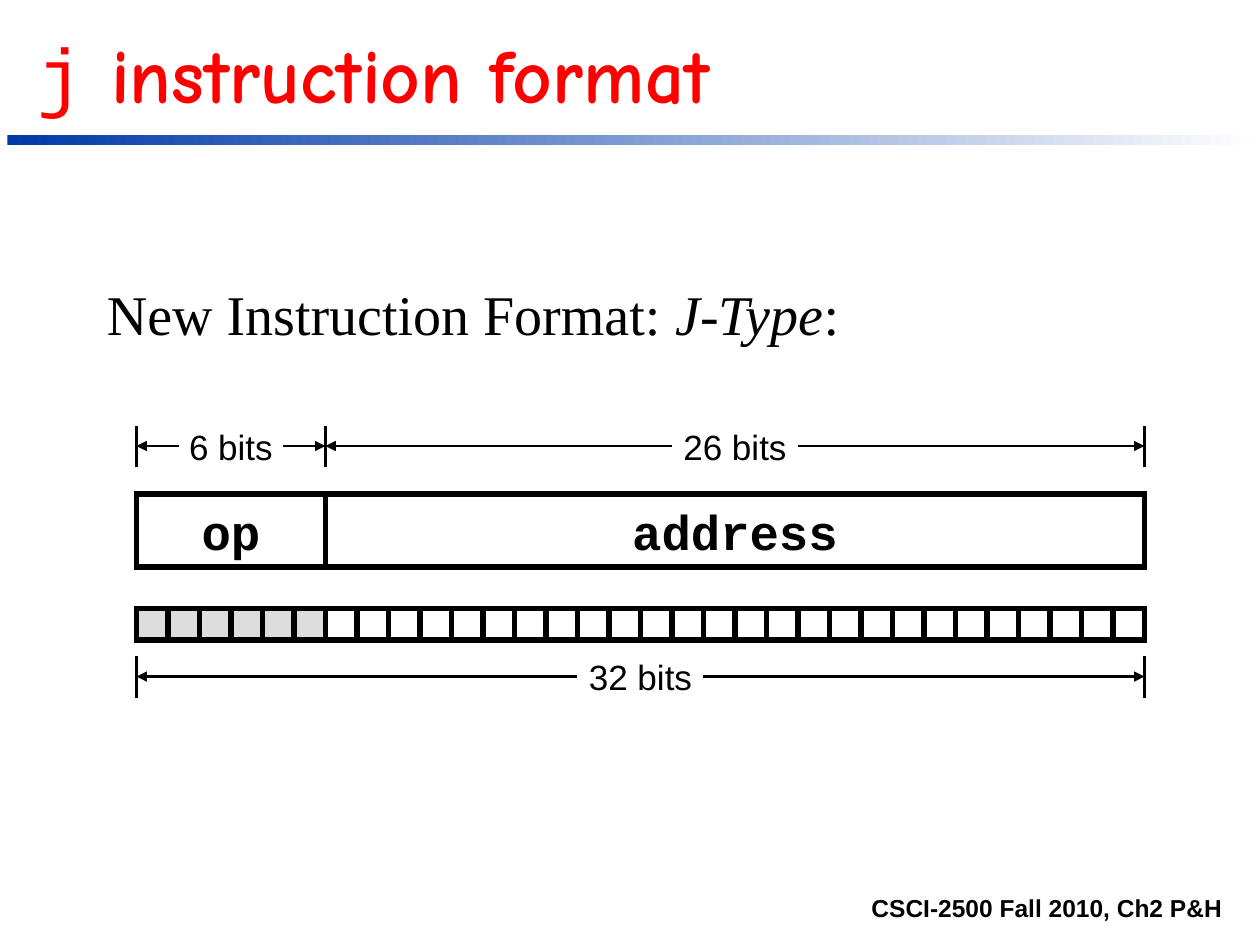
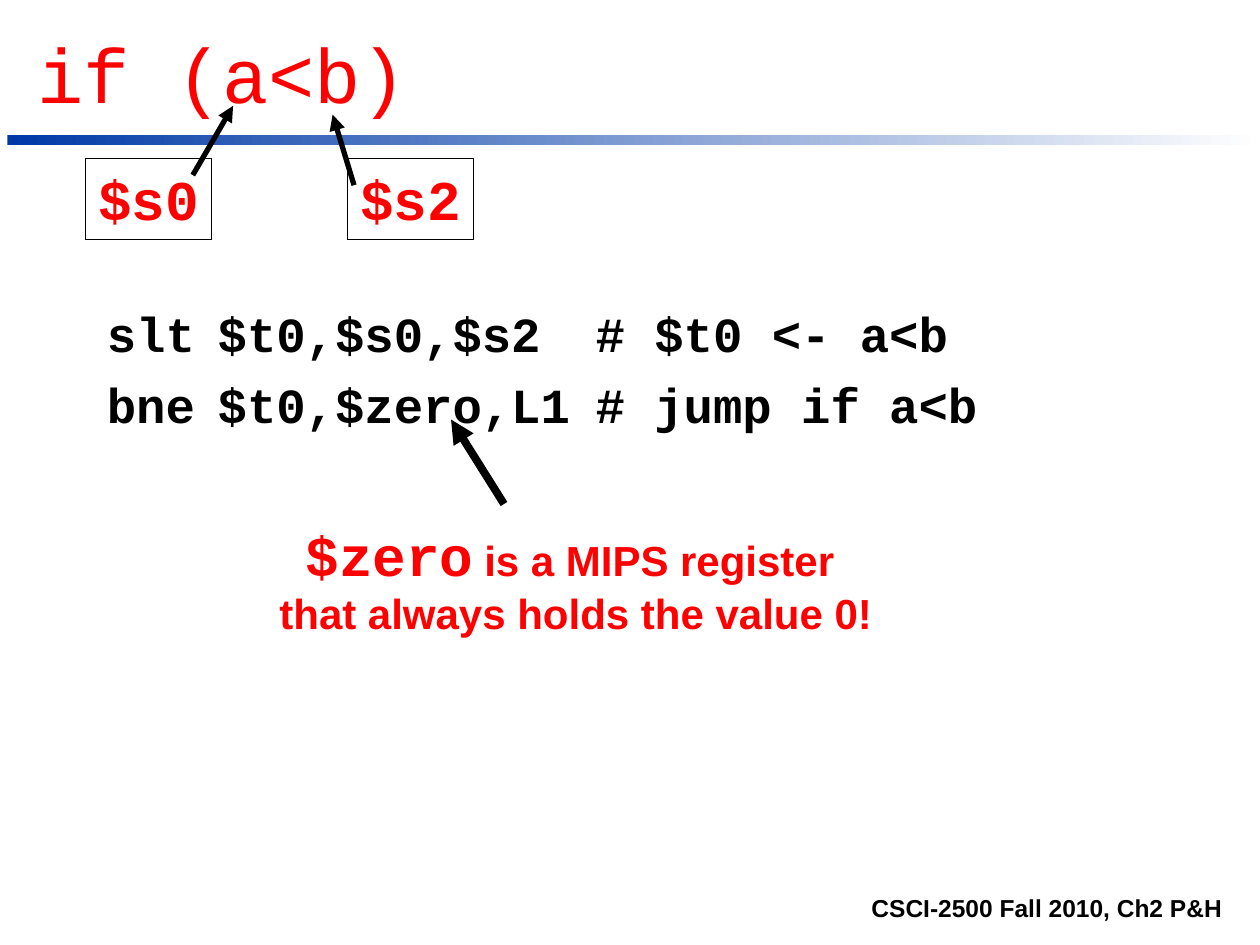
from lxml.etree import SubElement
from pptx import Presentation
from pptx.dml.color import RGBColor
from pptx.enum.shapes import MSO_CONNECTOR, MSO_SHAPE
from pptx.enum.text import MSO_ANCHOR as Anchor, MSO_AUTO_SIZE, PP_ALIGN as Align
from pptx.oxml.ns import qn
from pptx.util import Inches, Pt

BLACK = RGBColor(0x00, 0x00, 0x00)
WHITE = RGBColor(0xFF, 0xFF, 0xFF)
RED = RGBColor(0xFF, 0x00, 0x00)
BLUE = RGBColor(0x00, 0x39, 0xA6)
GREY = RGBColor(0xDD, 0xDD, 0xDD)

# Text styles
TITLE_CODE = {"name": "Courier New", "size": Pt(44), "color": RED}
TITLE_WORDS = {**TITLE_CODE, "name": "Comic Neue", "bold": True}
FOOTER = {"name": "Arial", "size": Pt(14), "bold": True, "color": BLACK}
BODY = {"name": "Times New Roman", "size": Pt(32), "color": BLACK}
CODE = {"name": "Courier New", "size": Pt(28), "bold": True, "color": BLACK}
REGISTER = {**CODE, "size": Pt(32), "color": RED}
NOTE = {"name": "Arial", "size": Pt(24), "bold": True, "color": RED}
DIMENSION = {"name": "Arial", "size": Pt(20), "color": BLACK}

# Instruction layout: 32 bits, the first 6 of them for the opcode
BIT = 0.25
OP_BITS, ADDRESS_BITS = 6, 26
WORD_BITS = OP_BITS + ADDRESS_BITS
WORD_LEFT = 13 / 12
ADDRESS_LEFT = WORD_LEFT + OP_BITS * BIT

HANGING = 0.38
CODE_TABS = (1.49, 4.49)


def write(shape, paragraphs, align=Align.LEFT, anchor=Anchor.TOP, wrap=True, grow=False):
    """Fill a shape with paragraphs, each a list of (text, style) runs."""
    frame = shape.text_frame
    frame.word_wrap = wrap
    frame.vertical_anchor = anchor
    frame.auto_size = MSO_AUTO_SIZE.SHAPE_TO_FIT_TEXT if grow else MSO_AUTO_SIZE.NONE
    for index, runs in enumerate(paragraphs):
        paragraph = frame.add_paragraph() if index else frame.paragraphs[0]
        paragraph.alignment = align
        for text, style in runs:
            run = paragraph.add_run()
            run.text = text
            for key, value in style.items():
                if key == "color":
                    run.font.color.rgb = value
                else:
                    setattr(run.font, key, value)
    return frame


def add_text(slide, box, paragraphs, **layout):
    shape = slide.shapes.add_textbox(*map(Inches, box))
    return write(shape, paragraphs, **layout)


def add_box(slide, box, fill=None, line_width=3):
    shape = slide.shapes.add_shape(MSO_SHAPE.RECTANGLE, *map(Inches, box))
    shape.shadow.inherit = False
    if fill is None:
        shape.fill.background()
    else:
        shape.fill.solid()
        shape.fill.fore_color.rgb = fill
    shape.line.color.rgb = BLACK
    shape.line.width = Pt(line_width)
    SubElement(shape.line._get_or_add_ln(), qn("a:miter"), lim="800000")
    return shape


def add_line(slide, start, end, width=1.5, arrow=False):
    line = slide.shapes.add_connector(MSO_CONNECTOR.STRAIGHT, *map(Inches, (*start, *end)))
    line.line.color.rgb = BLACK
    line.line.width = Pt(width)
    if arrow:
        SubElement(line.line._get_or_add_ln(), qn("a:tailEnd"), type="triangle")
    SubElement(line._element.spPr, qn("a:effectLst"))


def add_dimension(slide, label, left, bits, y, gap):
    """Label a span of bits with arrows that run outwards to end ticks."""
    width = bits * BIT
    right, middle = left + width, left + width / 2
    add_text(slide, (left, y - 0.29, width, 0.58), [[(label, DIMENSION)]],
             align=Align.CENTER, anchor=Anchor.MIDDLE, wrap=False)
    for edge, inner in ((left, middle - gap / 2), (right, middle + gap / 2)):
        add_line(slide, (inner, y), (edge, y), arrow=True)
        add_line(slide, (edge, y - 0.16), (edge, y + 0.17))


def add_field(slide, name, left, bits):
    field = add_box(slide, (left, 3.92, bits * BIT, 0.58))
    write(field, [[(name, CODE)]], align=Align.CENTER, anchor=Anchor.MIDDLE, wrap=False)


def add_register(slide, name, left):
    box = add_box(slide, (left, 1.26, 1, 0.64), line_width=0.75)
    write(box, [[(name, REGISTER)]], align=Align.CENTER, wrap=False, grow=True)


def add_code(slide, box, lines):
    frame = add_text(slide, box, [[(line, CODE)] for line in lines])
    for index, paragraph in enumerate(frame.paragraphs):
        properties = paragraph._p.get_or_add_pPr()
        properties.set("marL", str(Inches(HANGING)))
        properties.set("indent", str(-Inches(HANGING)))
        stops = SubElement(properties, qn("a:tabLst"))
        for stop in CODE_TABS:
            SubElement(stops, qn("a:tab"), pos=str(Inches(stop)), algn="l")
        if index:
            paragraph.space_before = Pt(7)


def add_base_slide(presentation, title):
    """Blank slide with the gradient rule, the footer and a title."""
    slide = presentation.slides.add_slide(presentation.slide_layouts[6])
    rule = add_box(slide, (0.06, 1.07, 9.94, 0.08))
    rule.line.fill.background()
    rule.fill.gradient()
    rule.fill.gradient_angle = 0
    for stop, color in zip(rule.fill.gradient_stops, (BLUE, WHITE)):
        stop.color.rgb = color
    add_text(slide, (1.85, 6.98, 7.95, 0.39), [[("CSCI-2500 Fall 2010, Ch2 P&H", FOOTER)]],
             align=Align.RIGHT, anchor=Anchor.BOTTOM)
    add_text(slide, (0.2, 0.16, 9.59, 0.83), [title], anchor=Anchor.BOTTOM, grow=True)
    return slide


def build_format_slide(presentation):
    slide = add_base_slide(presentation,
                           [("j", TITLE_CODE), (" instruction format", TITLE_WORDS)])
    add_text(slide, (0.75, 2.17, 8.5, 0.83),
             [[("New Instruction Format: ", BODY),
               ("J-Type", {**BODY, "italic": True}), (":", BODY)]])
    # Single bits
    for bit in range(WORD_BITS):
        add_box(slide, (WORD_LEFT + bit * BIT, 4.83, BIT, BIT),
                fill=GREY if bit < OP_BITS else WHITE)
    # Fields and their sizes
    add_field(slide, "op", WORD_LEFT, OP_BITS)
    add_field(slide, "address", ADDRESS_LEFT, ADDRESS_BITS)
    add_dimension(slide, "26 bits", ADDRESS_LEFT, ADDRESS_BITS, 3.54, 1)
    add_dimension(slide, "6 bits", WORD_LEFT, OP_BITS, 3.54, 0.83)
    add_dimension(slide, "32 bits", WORD_LEFT, WORD_BITS, 5.37, 1)


def build_branch_slide(presentation):
    slide = add_base_slide(presentation, [("if (a<b)", TITLE_CODE)])
    add_code(slide, (0.75, 2.36, 9.04, 1.86),
             ["slt\t$t0,$s0,$s2\t# $t0 <- a<b", "bne\t$t0,$zero,L1\t# jump if a<b"])
    # Registers that hold a and b
    add_register(slide, "$s0", 0.68)
    add_line(slide, (1.53, 1.39), (1.85, 0.84), width=3, arrow=True)
    add_register(slide, "$s2", 2.76)
    add_line(slide, (2.81, 1.47), (2.64, 0.91), width=3, arrow=True)
    # Note on $zero
    space = {**NOTE, "name": "Times New Roman", "bold": False}
    add_text(slide, (2.07, 4.08, 5, 1.04),
             [[("$zero", REGISTER), (" ", space), ("is a MIPS register ", NOTE)],
              [("that always holds the value 0!", NOTE)]],
             align=Align.CENTER, wrap=False, grow=True)
    add_line(slide, (4, 4), (3.58, 3.33), width=4.5, arrow=True)


def main():
    presentation = Presentation()
    presentation.slide_width = Inches(10)
    presentation.slide_height = Inches(7.5)
    build_format_slide(presentation)
    build_branch_slide(presentation)
    presentation.save("out.pptx")


if __name__ == "__main__":
    main()
